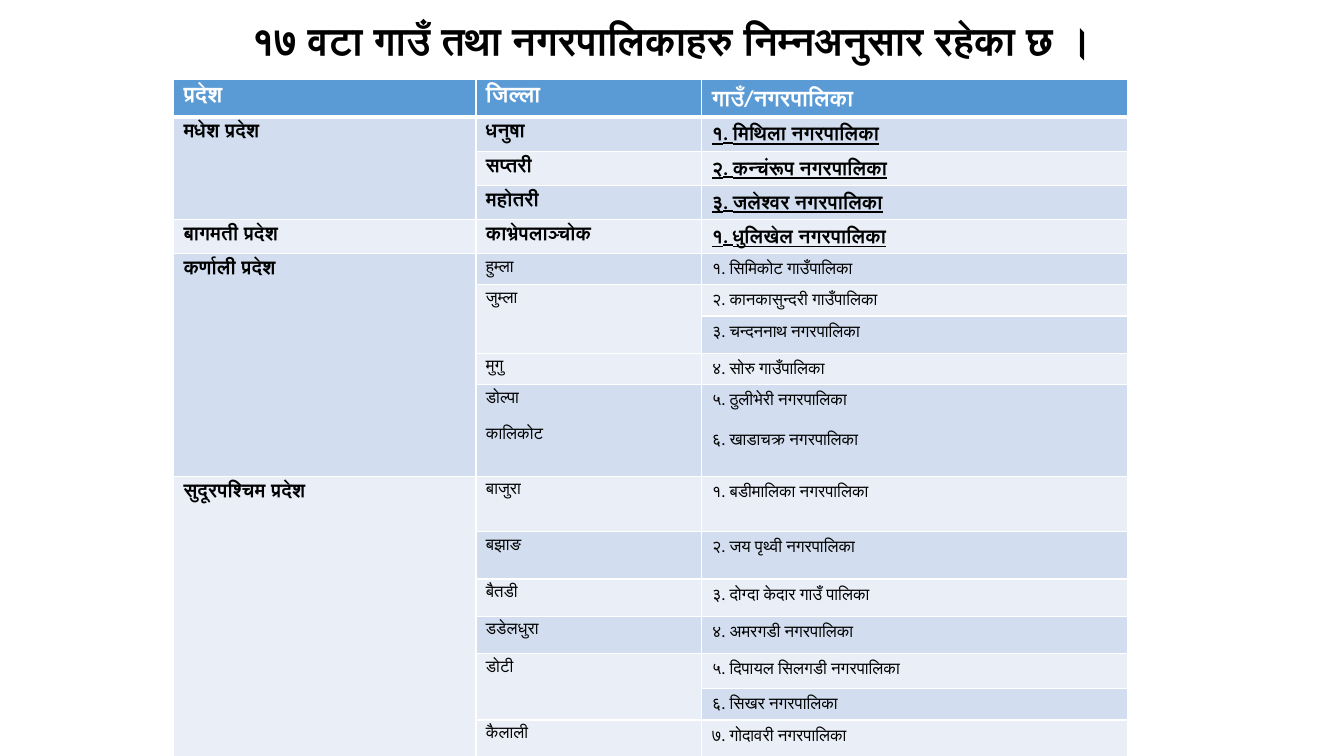
"""Builds a slide listing municipalities by province and district."""
from lxml import etree
from pptx import Presentation
from pptx.dml.color import RGBColor
from pptx.enum.text import MSO_ANCHOR, MSO_AUTO_SIZE, PP_ALIGN
from pptx.oxml.ns import qn
from pptx.util import Inches, Pt

TOP = MSO_ANCHOR.TOP
NO_AUTOFIT = MSO_AUTO_SIZE.NONE
LEFT, CENTER = PP_ALIGN.LEFT, PP_ALIGN.CENTER

THEME = {
    "font": "Calibri",
    "ink": "000000", "white": "FFFFFF", "header": "5B9BD5",
    "bands": ("EAEFF7", "D2DEEF"),
    "title": 28, "heading": 16, "province": 14, "place": 12,
}

HEADINGS = ("प्रदेश", "जिल्ला", "गाउँ/नगरपालिका")
ROWS = [
    (0.34, "मधेश प्रदेश", "धनुषा", "१. मिथिला नगरपालिका"),
    (0.33, "", "सप्तरी", "२. कन्चंरूप नगरपालिका"),
    (0.34, "", "महोतरी", "३. जलेश्वर नगरपालिका"),
    (0.33, "बागमती प्रदेश", "काभ्रेपलाञ्चोक", "१. धुलिखेल नगरपालिका"),
    (0.31, "कर्णाली प्रदेश", "हुम्ला", "१. सिमिकोट गाउँपालिका"),
    (0.31, "", "जुम्ला", "२. कानकासुन्दरी गाउँपालिका"),
    (0.37, "", "", "३. चन्दननाथ नगरपालिका"),
    (0.31, "", "मुगु", "४. सोरु गाउँपालिका"),
    (0.91, "", "डोल्पा\nकालिकोट", "५. ठुलीभेरी नगरपालिका\n६. खाडाचक्र नगरपालिका"),
    (0.55, "सुदूरपश्चिम प्रदेश", "बाजुरा", "१. बडीमालिका नगरपालिका"),
    (0.47, "", "बझाङ", "२. जय पृथ्वी नगरपालिका"),
    (0.37, "", "बैतडी", "३. दोग्दा केदार गाउँ पालिका"),
    (0.37, "", "डडेलधुरा", "४. अमरगडी नगरपालिका"),
    (0.35, "", "डोटी", "५. दिपायल सिलगडी नगरपालिका"),
    (0.31, "", "", "६. सिखर नगरपालिका"),
    (0.37, "", "कैलाली", "७. गोदावरी नगरपालिका"),
]
HEADER_HEIGHT = 0.37
COLUMN_WIDTHS = (3, 2.24, 4.22)
HIGHLIGHTED_ROWS = 4


def write(frame, text, size, color=THEME["ink"], bold=False, underline=False,
          align=LEFT, gap=14):
    for index, line in enumerate(text.split("\n")):
        paragraph = frame.paragraphs[0] if index == 0 else frame.add_paragraph()
        paragraph.alignment = align
        if index:
            paragraph.space_before = Pt(gap)
        run = paragraph.add_run()
        run.text = line
        run.font.name = THEME["font"]
        run.font.size = Pt(size)
        run.font.bold = bold
        run.font.underline = underline
        run.font.color.rgb = RGBColor.from_string(color)


def add_borders(cell, top, bottom):
    properties = cell._tc.get_or_add_tcPr()
    widths = {"a:lnL": 1, "a:lnR": 1, "a:lnT": top, "a:lnB": bottom}
    for position, (tag, width) in enumerate(widths.items()):
        line = etree.Element(qn(tag), w=str(Pt(width)))
        fill = etree.SubElement(line, qn("a:solidFill"))
        etree.SubElement(fill, qn("a:srgbClr"), val=THEME["white"])
        properties.insert(position, line)


deck = Presentation()
deck.slide_width, deck.slide_height = Inches(13.33), Inches(7.5)
slide = deck.slides.add_slide(deck.slide_layouts[5])

title = slide.shapes.title
title.left, title.top = Inches(0.49), Inches(0.16)
title.width, title.height = Inches(12.33), Inches(0.6)
title.text_frame.vertical_anchor = TOP
title.text_frame.auto_size = NO_AUTOFIT
title.text_frame.word_wrap = True
write(title.text_frame, "१७ वटा गाउँ तथा नगरपालिकाहरु निम्नअनुसार रहेका छ ।",
      THEME["title"], bold=True, align=CENTER)
title.text_frame.paragraphs[0].line_spacing = 0.9
title.text_frame.paragraphs[0].space_before = Pt(10)

heights = [HEADER_HEIGHT] + [row[0] for row in ROWS]
municipalities = slide.shapes.add_table(
    len(heights), len(COLUMN_WIDTHS), Inches(1.72), Inches(0.79),
    Inches(sum(COLUMN_WIDTHS)), Inches(sum(heights))).table
for column, width in zip(municipalities.columns, COLUMN_WIDTHS):
    column.width = Inches(width)
for table_row, height in zip(municipalities.rows, heights):
    table_row.height = Inches(height)

for column in range(2):
    starts = [number for number, row in enumerate(ROWS, 1) if row[column + 1]]
    for first, following in zip(starts, starts[1:] + [len(heights)]):
        if following - first > 1:
            municipalities.cell(first, column).merge(
                municipalities.cell(following - 1, column))

for number, texts in enumerate([HEADINGS] + [row[1:] for row in ROWS]):
    highlighted = 1 <= number <= HIGHLIGHTED_ROWS
    for column, text in enumerate(texts):
        cell = municipalities.cell(number, column)
        cell.fill.solid()
        band = THEME["bands"][number % 2] if number else THEME["header"]
        cell.fill.fore_color.rgb = RGBColor.from_string(band)
        if cell.is_spanned:
            continue
        add_borders(cell, 3 if number == 1 else 1, 3 if number == 0 else 1)
        if number == 0:
            write(cell.text_frame, text, THEME["heading"], THEME["white"], bold=True)
        elif highlighted or column == 0:
            write(cell.text_frame, text, THEME["province"], bold=True,
                  underline=column == 2)
        else:
            write(cell.text_frame, text, THEME["place"])

deck.save("out.pptx")
